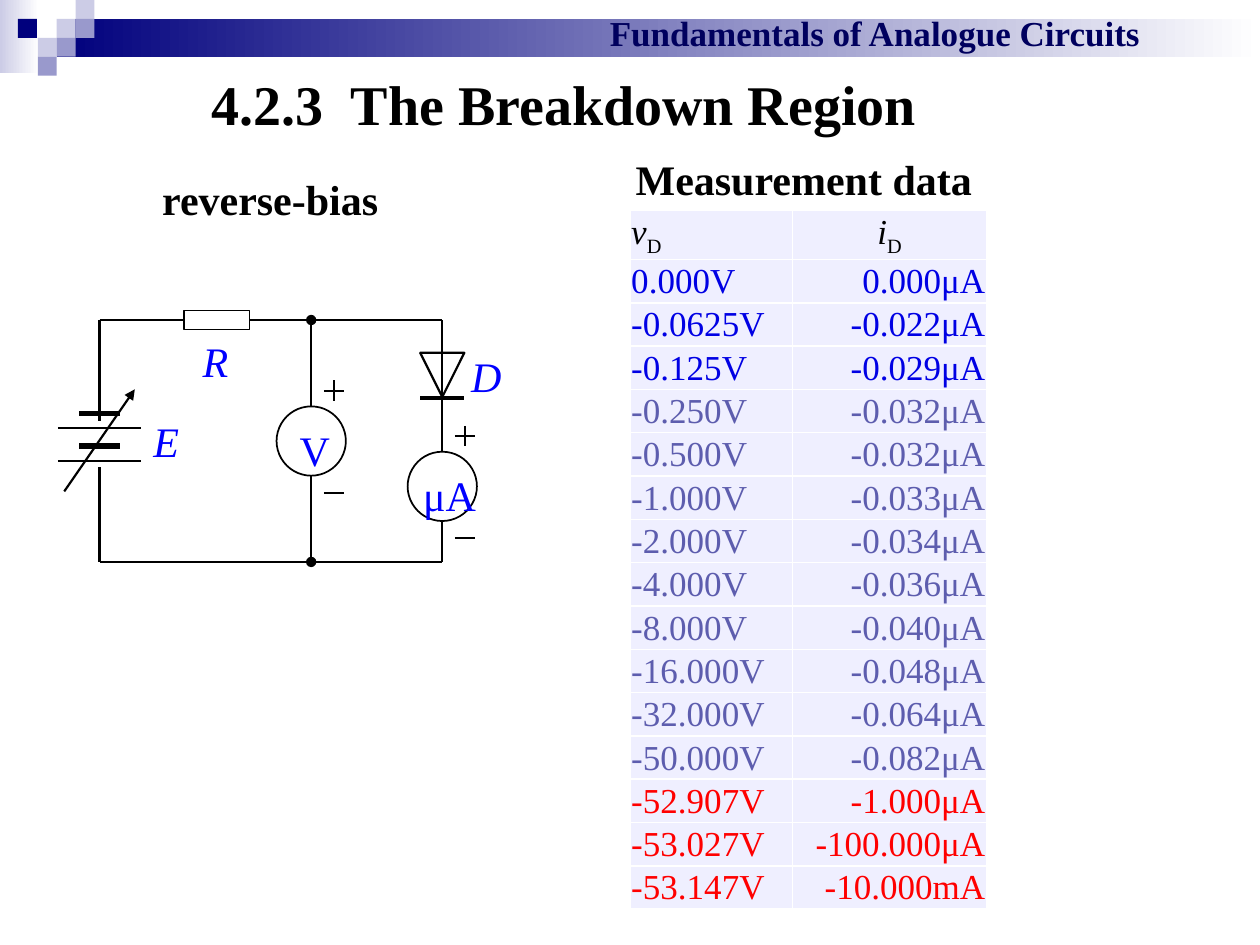
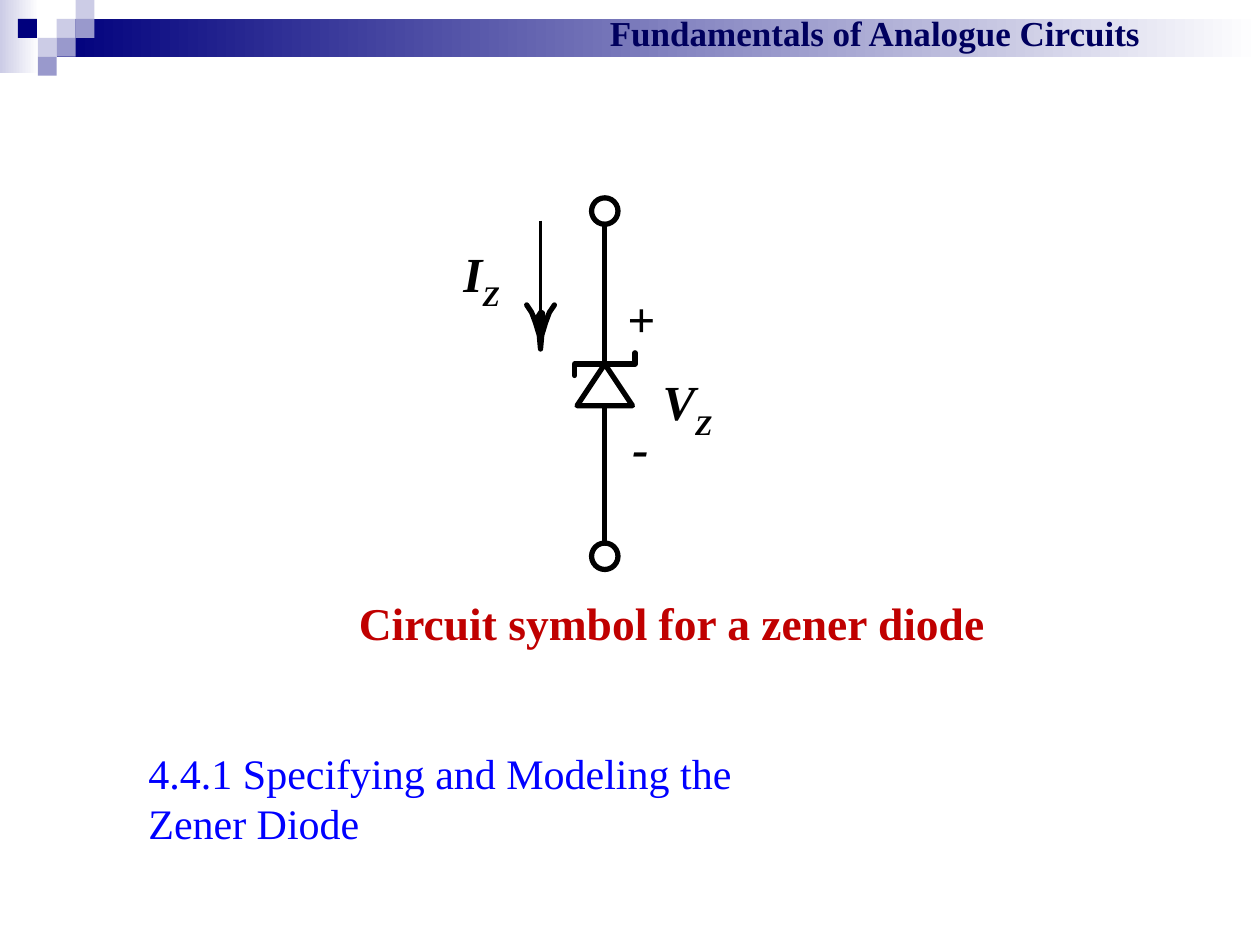
from dataclasses import dataclass
from typing import Any

from lxml.etree import SubElement
from pptx import Presentation
from pptx.dml.color import RGBColor
from pptx.enum.shapes import MSO_CONNECTOR, MSO_SHAPE
from pptx.enum.text import MSO_ANCHOR, MSO_AUTO_SIZE, PP_ALIGN
from pptx.oxml.ns import qn
from pptx.util import Inches, Pt

FONT = "Times New Roman"
BLACK, WHITE, RED = "000000", "FFFFFF", "FF0000"
NAVY, LILAC, PALE_LILAC = "00007D", "9999CC", "CCCCE6"
HEADER_BLUE, LABEL_BLUE, CAPTION_RED = "00005E", "0000FF", "C00000"
START_BLUE, FLAT_BLUE, CELL_FILL = "0000E4", "5D5DAE", "EFEFFF"

READINGS = [
    ("0.000V", "0.000μA", START_BLUE),
    ("-0.0625V", "-0.022μA", START_BLUE),
    ("-0.125V", "-0.029μA", START_BLUE),
    ("-0.250V", "-0.032μA", FLAT_BLUE),
    ("-0.500V", "-0.032μA", FLAT_BLUE),
    ("-1.000V", "-0.033μA", FLAT_BLUE),
    ("-2.000V", "-0.034μA", FLAT_BLUE),
    ("-4.000V", "-0.036μA", FLAT_BLUE),
    ("-8.000V", "-0.040μA", FLAT_BLUE),
    ("-16.000V", "-0.048μA", FLAT_BLUE),
    ("-32.000V", "-0.064μA", FLAT_BLUE),
    ("-50.000V", "-0.082μA", FLAT_BLUE),
    ("-52.907V", "-1.000μA", RED),
    ("-53.027V", "-100.000μA", RED),
    ("-53.147V", "-10.000mA", RED),
]


def color(hex_text):
    return RGBColor.from_string(hex_text)


def add_run(paragraph, text, size, hex_text, bold=False, italic=False, baseline=0):
    run = paragraph.add_run()
    run.text = text
    font = run.font
    font.name, font.size, font.bold, font.italic = FONT, Pt(size), bold, italic
    font.color.rgb = color(hex_text)
    if baseline:
        run._r.get_or_add_rPr().set("baseline", str(baseline * 1000))


def style_line(line, width, head=None, tail=None):
    """Black line with round joins and optional end marks."""
    line.color.rgb = color(BLACK)
    line.width = Pt(width)
    properties = line._get_or_add_ln()
    properties.set("cap", "rnd" if width == 3 and not (head or tail) else "flat")
    SubElement(properties, qn("a:round"))
    for tag, mark in (("a:headEnd", head), ("a:tailEnd", tail)):
        if mark:
            SubElement(properties, qn(tag), type=mark)


def style_fill(shape, fill):
    """Fill with one colour, a left-to-right pair of colours, or nothing."""
    shape.shadow.inherit = False
    if fill is None:
        shape.fill.background()
    elif isinstance(fill, tuple):
        shape.fill.gradient()
        shape.fill.gradient_angle = 0
        for stop, hex_text in zip(shape.fill.gradient_stops, fill):
            stop.color.rgb = color(hex_text)
    else:
        shape.fill.solid()
        shape.fill.fore_color.rgb = color(fill)


@dataclass
class Region:
    """Part of a slide; every position is in inches from its origin."""
    slide: Any
    left: float = 0
    top: float = 0

    def place(self, x, y):
        return Inches(self.left + x), Inches(self.top + y)

    def shape(self, kind, x, y, width, height, fill=None, line_width=None):
        shape = self.slide.shapes.add_shape(
            kind, *self.place(x, y), Inches(width), Inches(height))
        style_fill(shape, fill)
        if line_width:
            style_line(shape.line, line_width)
        else:
            shape.line.fill.background()
        return shape

    def line(self, start, end, width=1.25, head=None, tail=None):
        connector = self.slide.shapes.add_connector(
            MSO_CONNECTOR.STRAIGHT, *self.place(*start), *self.place(*end))
        style_line(connector.line, width, head, tail)
        SubElement(connector._element.spPr, qn("a:effectLst"))
        return connector

    def outline(self, points, width, fill=None, close=False):
        vertices = [self.place(*point) for point in points]
        builder = self.slide.shapes.build_freeform(*vertices[0])
        builder.add_line_segments(vertices[1:], close=close)
        shape = builder.convert_to_shape()
        style_fill(shape, fill)
        style_line(shape.line, width)

    def text(self, x, y, width, height, text, size, hex_text, bold=False,
             italic=False, wrap=False, subscript=None, align=PP_ALIGN.LEFT):
        box = self.slide.shapes.add_textbox(
            *self.place(x, y), Inches(width), Inches(height))
        frame = box.text_frame
        frame.word_wrap = wrap
        frame.auto_size = MSO_AUTO_SIZE.SHAPE_TO_FIT_TEXT
        paragraph = frame.paragraphs[0]
        paragraph.alignment = align
        add_run(paragraph, text, size, hex_text, bold, italic)
        if subscript:
            add_run(paragraph, subscript, size, hex_text, bold, italic, -30)
        return frame


def add_header(slide):
    header = Region(slide)
    header.shape(MSO_SHAPE.RECTANGLE, 0, 0, 0.31, 0.58, (PALE_LILAC, WHITE))
    header.shape(MSO_SHAPE.RECTANGLE, 0.45, 0.15, 9.55, 0.3, (NAVY, WHITE))
    tile = 0.15
    tiles = [(3, 1, PALE_LILAC), (4, 0, PALE_LILAC), (4, 1, LILAC),
             (2, 2, PALE_LILAC), (0.95, 1, NAVY), (3, 2, LILAC), (2, 3, LILAC)]
    for column, row, hex_text in tiles:
        header.shape(MSO_SHAPE.RECTANGLE, column * tile, row * tile, tile, tile, hex_text)
    frame = header.text(4.82, 0.08, 4.34, 0.36, "Fundamentals of Analogue Circuits",
                        20, HEADER_BLUE, bold=True, wrap=True)
    frame.margin_left = frame.margin_right = Inches(0.02)
    frame.margin_top = frame.margin_bottom = Inches(0.01)
    frame.paragraphs[0].space_before = Pt(3)


def set_title(slide, text):
    title = slide.shapes.title
    title.left, title.top = Inches(1.58), Inches(0.5)
    title.width, title.height = Inches(6.08), Inches(0.75)
    frame = title.text_frame
    frame.auto_size = MSO_AUTO_SIZE.NONE
    frame.vertical_anchor = MSO_ANCHOR.TOP
    paragraph = frame.paragraphs[0]
    paragraph.alignment = PP_ALIGN.LEFT
    paragraph.space_before = Pt(3)
    add_run(paragraph, text, 32, BLACK, bold=True)


def add_meter(circuit, x, y, name, label_x, label_width):
    """Round meter centred on (x, y) with its polarity marks."""
    diameter, mark = 0.55, 0.08
    circuit.shape(MSO_SHAPE.OVAL, x - diameter / 2, y - diameter / 2,
                  diameter, diameter, WHITE, 1)
    circuit.text(label_x, y - 0.18, label_width, 0.5, name, 24, LABEL_BLUE)
    mark_x, plus_y, minus_y = x + 0.18, y - 0.4, y + 0.41
    for mark_y in (plus_y, minus_y):
        circuit.line((mark_x - mark, mark_y), (mark_x + mark, mark_y))
    circuit.line((mark_x, plus_y - mark), (mark_x, plus_y + mark))


def add_battery(circuit):
    for y, half_width, line_width in ((0.74, 0.16, 3), (0.86, 0.33, 1.25),
                                      (1, 0.16, 3), (1.12, 0.33, 1.25)):
        plate = circuit.line((-half_width, y), (half_width, y), line_width)
        plate.line._get_or_add_ln().set("cap", "flat")
    circuit.line((-0.28, 1.36), (0.28, 0.55), tail="triangle")


def add_test_circuit(slide, left, top):
    """Reverse-bias circuit whose top left corner is at (left, top)."""
    circuit = Region(slide, left, top)
    meter_x, diode_x, bottom = 1.68, 2.72, 1.92
    circuit.text(0.39, -1.21, 1.93, 0.5, "reverse-bias", 24, BLACK,
                 bold=True, align=PP_ALIGN.CENTER)
    resistor = circuit.shape(MSO_SHAPE.RECTANGLE, 0.67, -0.075, 0.52, 0.15, WHITE, 1)
    circuit.line((0, 0), (0.67, 0)).end_connect(resistor, 1)
    circuit.line((1.19, 0), (diode_x, 0)).begin_connect(resistor, 3)
    circuit.line((0, bottom), (diode_x, bottom))
    circuit.line((0, 0), (0, 0.8))
    circuit.line((0, 1.17), (0, bottom))
    circuit.line((meter_x, 0), (meter_x, bottom), head="oval", tail="oval")
    circuit.line((diode_x, 0), (diode_x, bottom))

    side = 0.35
    diode = circuit.shape(MSO_SHAPE.ISOSCELES_TRIANGLE, diode_x - side / 2, 0.26,
                          side, side, line_width=1.25)
    diode.rotation = 180
    circuit.line((diode_x - side / 2, 0.62), (diode_x + side / 2, 0.62), 2.5)
    add_meter(circuit, diode_x, 1.32, "μA", 2.47, 0.63)
    add_meter(circuit, meter_x, 0.96, "V", 1.49, 0.45)
    add_battery(circuit)
    for name, x, y in (("E", 0.33, 0.71), ("R", 0.72, 0.07), ("D", 2.85, 0.19)):
        circuit.text(x, y, 0.43, 0.5, name, 24, LABEL_BLUE, italic=True)


def format_cell(cell, align):
    """Set fill, margins and white borders; return the paragraph to write in."""
    cell.fill.solid()
    cell.fill.fore_color.rgb = color(CELL_FILL)
    cell.vertical_anchor = MSO_ANCHOR.MIDDLE
    cell.margin_left = cell.margin_right = cell.margin_top = Inches(0.01)
    cell.margin_bottom = 0
    properties = cell._tc.get_or_add_tcPr()
    for index, side in enumerate(("a:lnL", "a:lnR", "a:lnT", "a:lnB")):
        border = properties.makeelement(qn(side), {"w": str(Pt(1))})
        fill = SubElement(border, qn("a:solidFill"))
        SubElement(fill, qn("a:srgbClr"), val=WHITE)
        properties.insert(index, border)
    paragraph = cell.text_frame.paragraphs[0]
    paragraph.alignment = align
    return paragraph


def add_measurements(slide, left, top):
    region = Region(slide, left, top)
    row_count = len(READINGS) + 1
    table = slide.shapes.add_table(
        row_count, 2, *region.place(0, 0), Inches(2.83), Inches(5.5)).table
    table.first_row = table.horz_banding = False
    for column, width in zip(table.columns, (1.29, 1.54)):
        column.width = Inches(width)
    for index, (symbol, align) in enumerate((("v", PP_ALIGN.LEFT), ("i", PP_ALIGN.CENTER))):
        paragraph = format_cell(table.cell(0, index), align)
        add_run(paragraph, symbol, 20, BLACK, italic=True)
        add_run(paragraph, "D", 20, BLACK, baseline=-25)
    for row, (voltage, current, hex_text) in enumerate(READINGS, start=1):
        for index, (value, align) in enumerate(((voltage, PP_ALIGN.LEFT),
                                                (current, PP_ALIGN.RIGHT))):
            add_run(format_cell(table.cell(row, index), align), value, 20, hex_text)
    region.text(-0.07, -0.5, 2.9, 0.5, "Measurement data", 24, BLACK,
                bold=True, align=PP_ALIGN.CENTER)


def add_current_arrow(slide, left, top):
    arrow = Region(slide, left, top)
    arrow.line((0, 0), (0, 1.02), 2)
    barb = [(0.11, 0.67), (0.07, 0.73), (0.04, 0.81), (0.01, 0.91), (0, 1.02)]
    mirrored = [(-x, y) for x, y in barb]
    arrow.outline(barb + mirrored[-2::-1], 3)
    arrow.outline([(0, 0.72), (0.02, 0.73), (0.03, 0.78), (0, 0.88), (-0.05, 0.76),
                   (-0.03, 0.77), (-0.02, 0.75)], 2, BLACK, close=True)


def add_zener_symbol(slide, left, top):
    """Zener symbol on a vertical axis at left, starting at top."""
    symbol = Region(slide, left, top)
    diameter, apex, base, end = 0.21, 1.32, 1.65, 2.95
    for y in (0, end - diameter):
        symbol.shape(MSO_SHAPE.OVAL, -diameter / 2, y, diameter, diameter, line_width=3)
    symbol.line((0, diameter), (0, apex), 3)
    symbol.line((0, base), (0, end - diameter), 3)
    symbol.shape(MSO_SHAPE.ISOSCELES_TRIANGLE, -0.22, apex, 0.44, base - apex, line_width=3)
    symbol.outline([(-0.24, apex + 0.09), (-0.24, apex), (0.24, apex), (0.24, apex - 0.09)], 3)
    add_current_arrow(slide, left - 0.51, top + 0.18)
    for x, y, width, name, subscript in (
            (-1.22, 0.35, 0.51, "I", "Z"), (0.36, 1.37, 0.62, "V", "Z"),
            (0.08, 0.67, 0.43, "+", None), (0.12, 1.69, 0.33, "-", None)):
        frame = symbol.text(x, y, width, 0.57, name, 28, BLACK, bold=True,
                            italic=True, subscript=subscript)
        frame.vertical_anchor = MSO_ANCHOR.MIDDLE
    symbol.text(-2.05, 3.1, 5.59, 0.54, "Circuit symbol for a zener diode",
                26, CAPTION_RED, bold=True, wrap=True)


def build_breakdown_slide(presentation):
    slide = presentation.slides.add_slide(presentation.slide_layouts[5])
    add_header(slide)
    set_title(slide, "4.2.3  The Breakdown Region")
    add_test_circuit(slide, 0.79, 2.54)
    add_measurements(slide, 5, 1.67)


def build_zener_slide(presentation):
    slide = presentation.slides.add_slide(presentation.slide_layouts[6])
    add_header(slide)
    add_zener_symbol(slide, 4.8, 1.57)
    Region(slide).text(1.08, 5.88, 5, 0.91, "4.4.1 Specifying and Modeling the Zener Diode",
                       24, LABEL_BLUE, wrap=True)


def main():
    presentation = Presentation()
    presentation.slide_width, presentation.slide_height = Inches(10), Inches(7.5)
    build_breakdown_slide(presentation)
    build_zener_slide(presentation)
    presentation.save("out.pptx")


if __name__ == "__main__":
    main()
